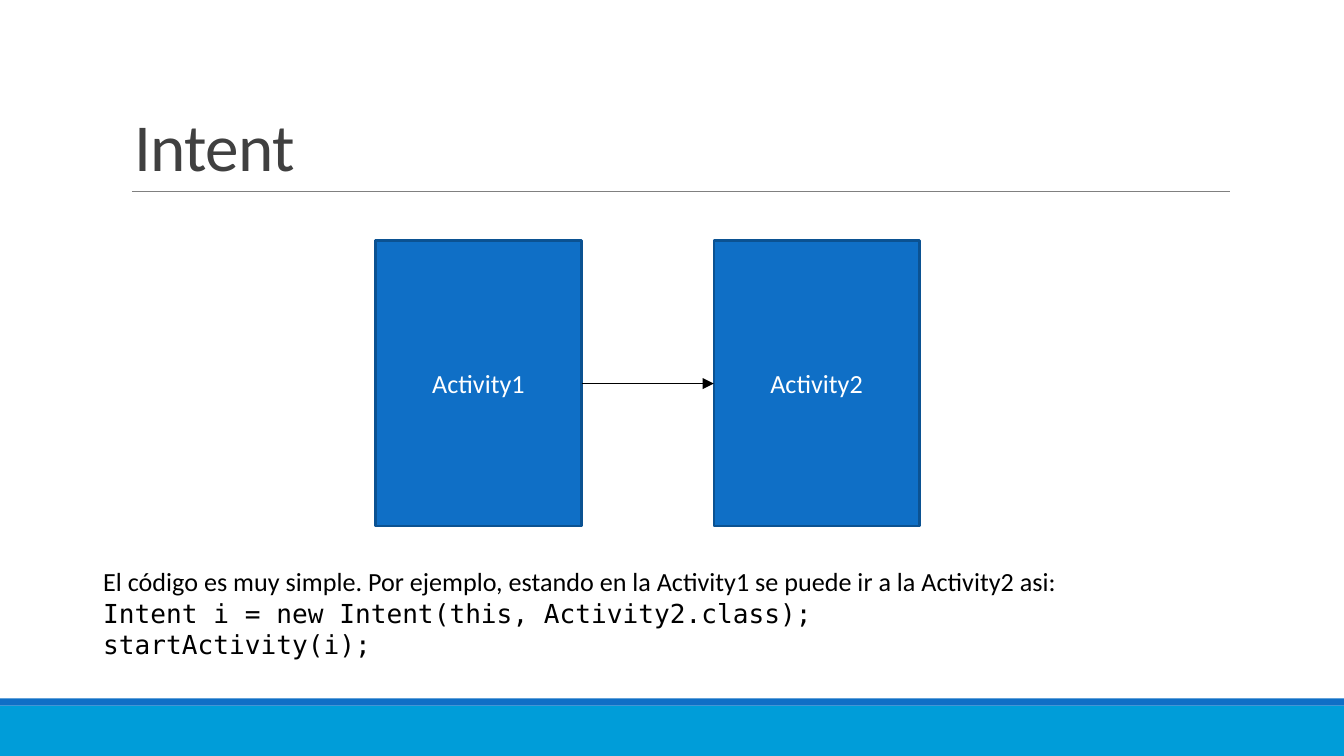
"""Build the Intent slide: two activities joined by an arrow, with sample code."""
from lxml.etree import SubElement
from pptx import Presentation
from pptx.dml.color import RGBColor
from pptx.enum.shapes import MSO_CONNECTOR, MSO_SHAPE
from pptx.enum.text import MSO_ANCHOR, PP_ALIGN
from pptx.oxml.ns import qn
from pptx.util import Cm, Pt

COLORS = {
    "band": "009DD9",
    "blue": "0F6FC6",
    "outline": "0B5292",
    "rule": "808080",
    "title": "404040",
    "black": "000000",
    "white": "FFFFFF",
}


def style_text(para, size, color, font="Calibri"):
    for span in para.runs:
        span.font.name = font
        span.font.size = Pt(size)
        span.font.color.rgb = RGBColor.from_string(COLORS[color])


def style_line(connector, color, width):
    connector.line.color.rgb = RGBColor.from_string(COLORS[color])
    connector.line.width = Pt(width)
    SubElement(connector._element.spPr, qn("a:effectLst"))


deck = Presentation()
deck.slide_width = Cm(25.4)
deck.slide_height = Cm(14.29)
page = deck.slides.add_slide(deck.slide_layouts[6])
shapes = page.shapes

for color, top, height in [("band", 13.34, 0.95), ("blue", 13.2, 0.14)]:
    band = shapes.add_shape(MSO_SHAPE.RECTANGLE, 0, Cm(top), deck.slide_width, Cm(height))
    band.shadow.inherit = False
    band.fill.solid()
    band.fill.fore_color.rgb = RGBColor.from_string(COLORS[color])
    band.line.fill.background()

rule = shapes.add_connector(MSO_CONNECTOR.STRAIGHT, Cm(2.49), Cm(3.62), Cm(23.24), Cm(3.62))
style_line(rule, "rule", 0.5)

title = shapes.add_textbox(Cm(2.29), Cm(0.61), Cm(20.96), Cm(3.02))
title.text_frame.word_wrap = True
title.text_frame.vertical_anchor = MSO_ANCHOR.BOTTOM
title.text_frame.text = "Intent"
heading = title.text_frame.paragraphs[0]
heading.line_spacing = 0.85
style_text(heading, 36, "title")
heading.runs[0].font._element.set("spc", "-40")

activities = []
for name, left in [("Activity1", 7.1), ("Activity2", 13.49)]:
    box = shapes.add_shape(MSO_SHAPE.RECTANGLE, Cm(left), Cm(4.55), Cm(3.89), Cm(5.4))
    box.shadow.inherit = False
    box.fill.solid()
    box.fill.fore_color.rgb = RGBColor.from_string(COLORS["blue"])
    box.line.color.rgb = RGBColor.from_string(COLORS["outline"])
    box.line.width = Pt(1.25)
    box.text_frame.vertical_anchor = MSO_ANCHOR.MIDDLE
    box.text_frame.text = name
    para = box.text_frame.paragraphs[0]
    para.alignment = PP_ALIGN.CENTER
    style_text(para, 14, "white")
    activities.append(box)

arrow = shapes.add_connector(MSO_CONNECTOR.STRAIGHT, 0, 0, 0, 0)
arrow.begin_connect(activities[0], 3)
arrow.end_connect(activities[1], 1)
style_line(arrow, "black", 1)
SubElement(arrow.line._get_or_add_ln(), qn("a:tailEnd"), type="triangle")

explanation = shapes.add_textbox(Cm(1.7), Cm(10.57), Cm(18.8), Cm(2.06))
explanation.text_frame.word_wrap = True
explanation.text_frame.text = "\n".join([
    "El código es muy simple. Por ejemplo, estando en la Activity1 se puede ir a la Activity2 asi:",
    "Intent i = new Intent(this, Activity2.class);",
    "startActivity(i);",
])
fonts = ["Calibri", "DejaVu Sans Mono", "DejaVu Sans Mono"]
for para, font in zip(explanation.text_frame.paragraphs, fonts):
    style_text(para, 14, "black", font)

deck.save("out.pptx")
